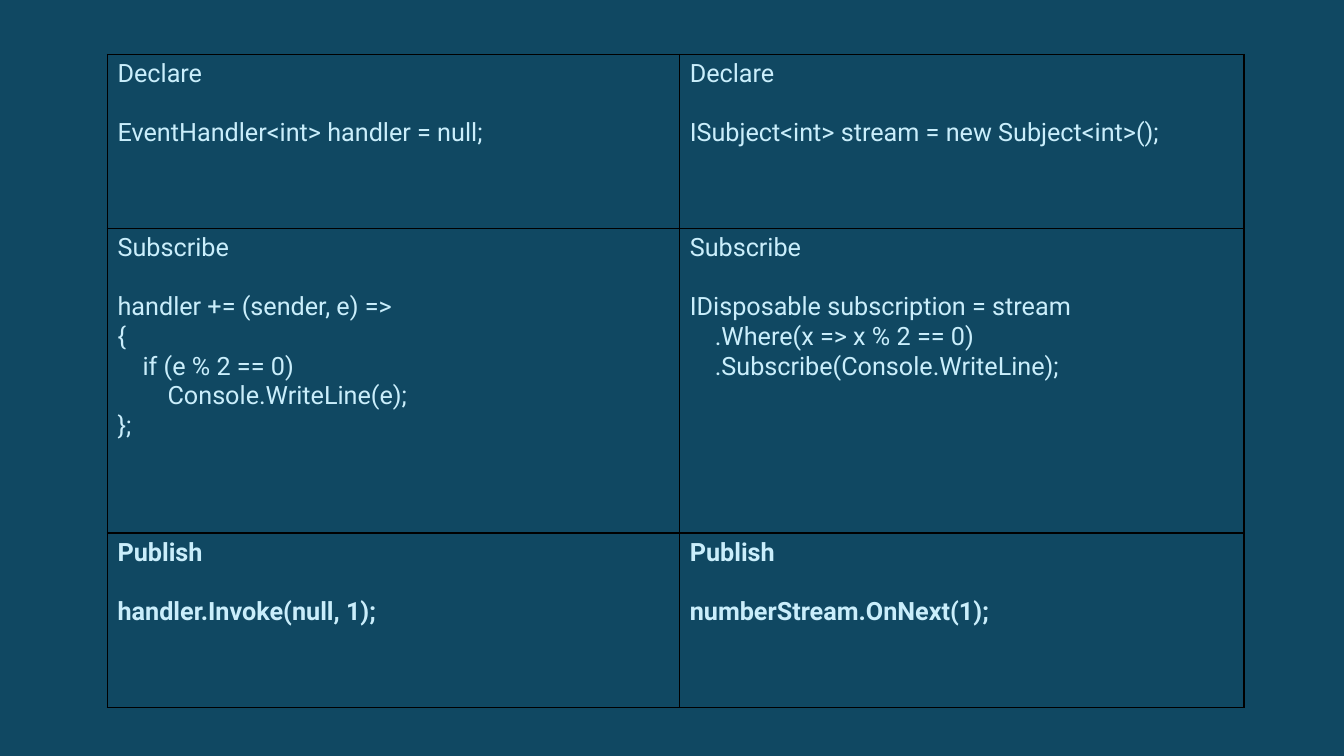
from dataclasses import dataclass

from lxml.etree import SubElement
from pptx import Presentation
from pptx.dml.color import RGBColor
from pptx.oxml.ns import qn
from pptx.util import Cm, Pt


@dataclass(frozen=True)
class Theme:
    background: str = "104862"
    text: str = "CAEEFB"
    border: str = "000000"
    font: str = "Roboto"
    size: int = 18
    heading_gap: int = 21
    border_width: int = 1


theme = Theme()
indent_step = Cm(0.63)
column_widths = [Cm(14.42), Cm(14.22)]

# Each code line is (indent level, text).
steps = [
    ("Declare", Cm(4.39), False, [
        [(0, "EventHandler<int> handler = null;")],
        [(0, "ISubject<int> stream = new Subject<int>();")],
    ]),
    ("Subscribe", Cm(7.67), False, [
        [
            (0, "handler += (sender, e) =>"),
            (0, "{"),
            (1, "if (e % 2 == 0)"),
            (2, "Console.WriteLine(e);"),
            (0, "};"),
        ],
        [
            (0, "IDisposable subscription = stream"),
            (1, ".Where(x => x % 2 == 0)"),
            (1, ".Subscribe(Console.WriteLine);"),
        ],
    ]),
    ("Publish", Cm(4.39), True, [
        [(0, "handler.Invoke(null, 1);")],
        [(0, "numberStream.OnNext(1);")],
    ]),
]


def add_borders(cell):
    properties = cell._tc.get_or_add_tcPr()
    for side in ("a:lnL", "a:lnR", "a:lnT", "a:lnB"):
        line = SubElement(properties, qn(side), w=str(Pt(theme.border_width)))
        fill = SubElement(line, qn("a:solidFill"))
        SubElement(fill, qn("a:srgbClr"), val=theme.border)


presentation = Presentation()
presentation.slide_width = Cm(33.87)
presentation.slide_height = Cm(19.05)
slide = presentation.slides.add_slide(presentation.slide_layouts[6])
slide.background.fill.solid()
slide.background.fill.fore_color.rgb = RGBColor.from_string(theme.background)

comparison = slide.shapes.add_table(
    len(steps), len(column_widths), Cm(2.71), Cm(1.37),
    sum(column_widths), sum(height for _, height, _, _ in steps),
).table
comparison.first_row = False
comparison.horz_banding = False
for column, width in zip(comparison.columns, column_widths):
    column.width = width

for row, (heading, height, bold, samples) in enumerate(steps):
    comparison.rows[row].height = height
    for col, code in enumerate(samples):
        cell = comparison.cell(row, col)
        add_borders(cell)
        cell.fill.background()
        lines = [(0, heading), *code]
        cell.text_frame.text = "\n".join(text for _, text in lines)
        paragraphs = cell.text_frame.paragraphs
        paragraphs[0].space_after = Pt(theme.heading_gap)
        for paragraph, (level, _) in zip(paragraphs, lines):
            if level:
                paragraph._p.get_or_add_pPr().set("marL", str(level * indent_step))
            font = paragraph.runs[0].font
            font.name = theme.font
            font.size = Pt(theme.size)
            font.bold = bold
            font.color.rgb = RGBColor.from_string(theme.text)

presentation.save("out.pptx")
